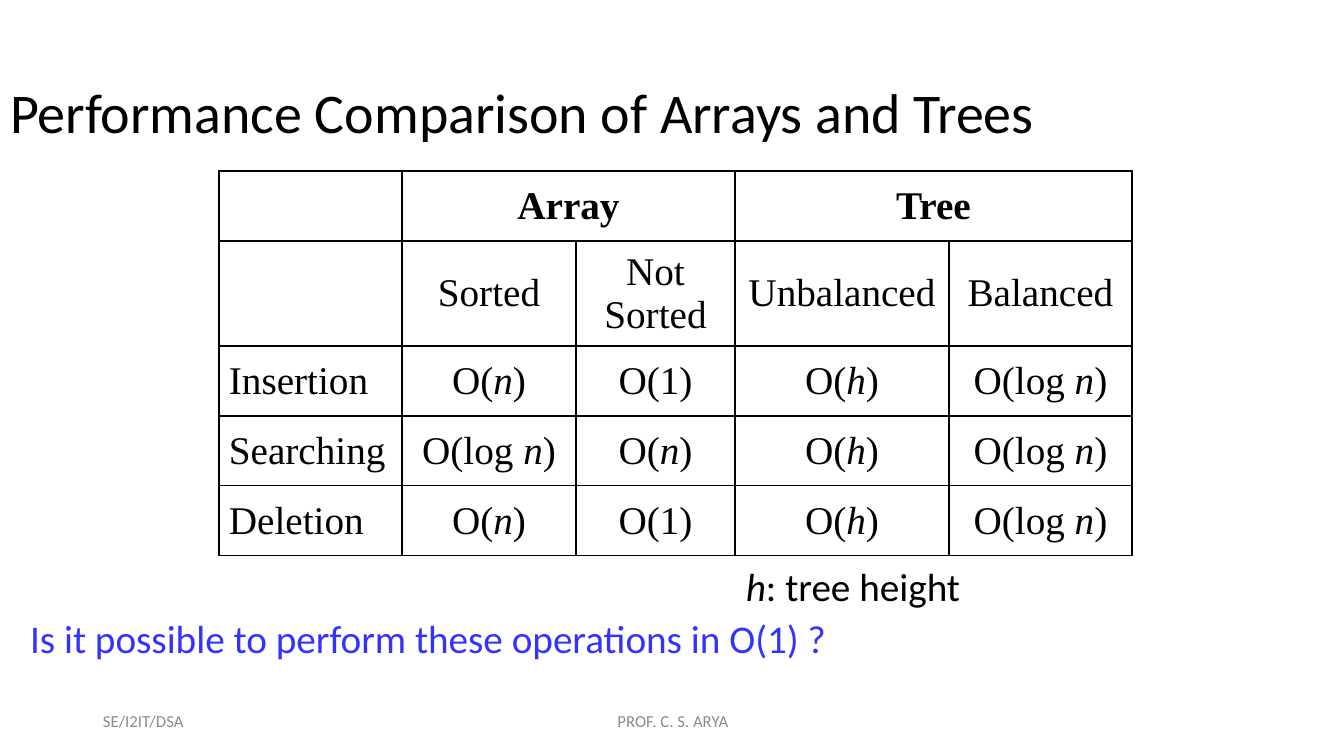
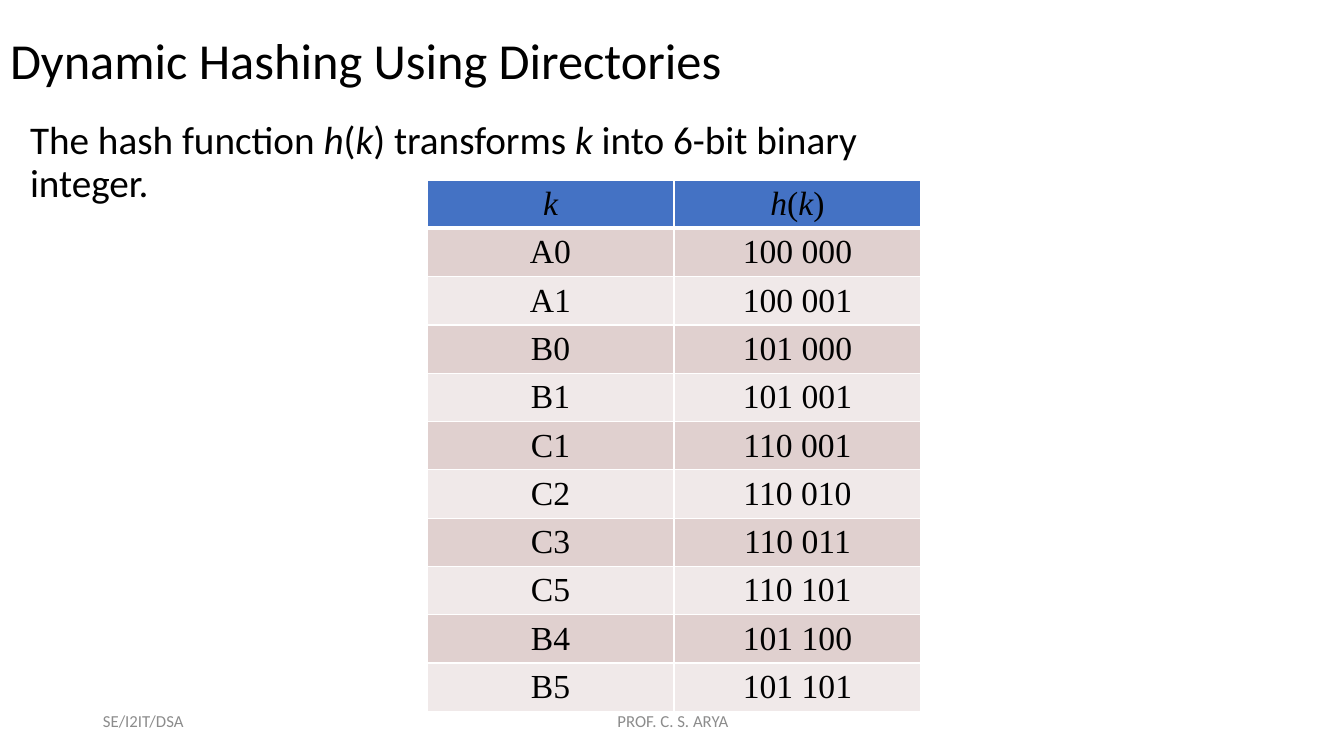
"""Build two slides: array and tree performance, and dynamic hashing."""
import dataclasses

import lxml.etree
import pptx
import pptx.dml.color
import pptx.enum.text
import pptx.oxml.ns
import pptx.util

PX = 9071
ALIGN = pptx.enum.text.PP_ALIGN
ANCHOR = pptx.enum.text.MSO_ANCHOR
qn = pptx.oxml.ns.qn


@dataclasses.dataclass(frozen=True)
class Theme:
    sans: str = "Calibri"
    serif: str = "Times New Roman"
    ink: str = "000000"
    paper: str = "FFFFFF"
    question: str = "3333FF"
    footer: str = "8C8C8C"
    header: str = "4472C4"
    bands: tuple = ("E0D0CF", "F0E9E9")
    footer_size: int = 12
    hash_size: int = 24
    body_size: int = 28


THEME = Theme()


def write(frame, text, size, colour=THEME.ink, font=THEME.sans,
          align=ALIGN.LEFT, bold=False):
    """Fill the first paragraph; text between asterisks is italic."""
    paragraph = frame.paragraphs[0]
    paragraph.alignment = align
    paragraph.font.name = font
    paragraph.font.size = pptx.util.Pt(size)
    paragraph.font.bold = bold
    paragraph.font.color.rgb = pptx.dml.color.RGBColor.from_string(colour)
    for index, part in enumerate(text.split("*")):
        if part:
            run = paragraph.add_run()
            run.text = part
            if index % 2:
                run.font.italic = True
    return paragraph


def add_grid(slide, left, top, widths, heights, rows, fills, size, border,
             header_rule=1, pad=5, labels=False, bold_header=False):
    """Add a table with plain fills and ruled borders."""
    grid = slide.shapes.add_table(
        len(rows), len(widths), left * PX, top * PX,
        sum(widths) * PX, sum(heights) * PX).table
    grid.first_row = grid.horz_banding = False
    for column, width in zip(grid.columns, widths):
        column.width = width * PX
    for r, (values, height, fill) in enumerate(zip(rows, heights, fills)):
        grid.rows[r].height = height * PX
        for c, value in enumerate(values):
            cell = grid.cell(r, c)
            cell.vertical_anchor = ANCHOR.MIDDLE
            cell.margin_left = cell.margin_right = 10 * PX
            cell.margin_top = cell.margin_bottom = pad * PX
            cell.fill.solid()
            cell.fill.fore_color.rgb = pptx.dml.color.RGBColor.from_string(fill)
            if value:
                write(cell.text_frame, value, size, font=THEME.serif,
                      align=ALIGN.LEFT if labels and c == 0 else ALIGN.CENTER,
                      bold=bold_header and r == 0)
            rules = {"lnL": 1, "lnR": 1,
                     "lnT": header_rule if r == 1 else 1,
                     "lnB": header_rule if r == 0 else 1}
            for position, (side, points) in enumerate(rules.items()):
                line = lxml.etree.Element(
                    qn(f"a:{side}"), w=str(pptx.util.Pt(points)))
                paint = lxml.etree.SubElement(line, qn("a:solidFill"))
                lxml.etree.SubElement(paint, qn("a:srgbClr"), val=border)
                cell._tc.get_or_add_tcPr().insert(position, line)
    return grid


deck = pptx.Presentation()
deck.slide_width = 1344 * PX
deck.slide_height = 756 * PX

PAGES = [
    ("Performance Comparison of Arrays and Trees", 40, (0, 36, 1246, 119),
     "Is it possible to perform these operations in O(1) ?",
     THEME.question, (0, 615, 907, 93)),
    ("Dynamic Hashing Using Directories", 36, (0, 30, 907, 70),
     "The hash function *h*(*k*) transforms *k* into 6-bit binary integer.",
     THEME.ink, (0, 116, 907, 111)),
]
FOOTERS = [
    ("SE/I2IT/DSA", (93, 701, 302, 40), ALIGN.LEFT),
    ("PROF. C. S. ARYA", (446, 701, 454, 40), ALIGN.CENTER),
]

for heading, heading_size, heading_box, statement, colour, statement_box in PAGES:
    slide = deck.slides.add_slide(deck.slide_layouts[1])
    title, body = slide.placeholders
    for holder, box, margins, anchor in (
            (title, heading_box, (10, 5, 10, 10), ANCHOR.BOTTOM),
            (body, statement_box, (0, 5, 0, 5), ANCHOR.TOP)):
        holder.left, holder.top, holder.width, holder.height = (
            n * PX for n in box)
        frame = holder.text_frame
        (frame.margin_left, frame.margin_top,
         frame.margin_right, frame.margin_bottom) = (n * PX for n in margins)
        frame.vertical_anchor = anchor
        frame.auto_size = pptx.enum.text.MSO_AUTO_SIZE.NONE
        frame.word_wrap = True

    write(title.text_frame, heading, heading_size).line_spacing = 0.85
    indent = body.text_frame.paragraphs[0]._p.get_or_add_pPr()
    indent.set("marL", str(30 * PX))
    indent.set("indent", str(-30 * PX))
    lxml.etree.SubElement(indent, qn("a:buChar"), char=" ")
    line = write(body.text_frame, statement, THEME.body_size, colour)
    line.line_spacing = 0.9
    line.space_before = pptx.util.Pt(0)

    for text, box, align in FOOTERS:
        footer = slide.shapes.add_textbox(*(n * PX for n in box)).text_frame
        footer.word_wrap = True
        footer.vertical_anchor = ANCHOR.MIDDLE
        write(footer, text, THEME.footer_size, THEME.footer, align=align)

comparison, hashing = deck.slides

operations = [
    ("", "Array", "", "Tree", ""),
    ("", "Sorted", "Not Sorted", "Unbalanced", "Balanced"),
    ("Insertion", "O(*n*)", "O(1)", "O(*h*)", "O(log *n*)"),
    ("Searching", "O(log *n*)", "O(*n*)", "O(*h*)", "O(log *n*)"),
    ("Deletion", "O(*n*)", "O(1)", "O(*h*)", "O(log *n*)"),
]
costs = add_grid(
    comparison, 219, 171, (183, 174, 159, 214, 183), (70, 105, 70, 70, 70),
    operations, [THEME.paper] * len(operations), THEME.body_size, THEME.ink,
    labels=True, bold_header=True)
for first in (1, 3):
    costs.cell(0, first).merge(costs.cell(0, first + 1))

height_note = comparison.shapes.add_textbox(
    736 * PX, 557 * PX, 254 * PX, 57 * PX).text_frame
height_note.word_wrap = True
write(height_note, "*h*: tree height", THEME.body_size)

keys = [
    ("*k*", "*h*(*k*)"),
    ("A0", "100 000"),
    ("A1", "100 001"),
    ("B0", "101 000"),
    ("B1", "101 001"),
    ("C1", "110 001"),
    ("C2", "110 010"),
    ("C3", "110 011"),
    ("C5", "110 101"),
    ("B4", "101 100"),
    ("B5", "101 101"),
]
add_grid(
    hashing, 427, 180, (247, 247), [47] * len(keys), keys,
    [THEME.header] + [THEME.bands[n % 2] for n in range(len(keys) - 1)],
    THEME.hash_size, THEME.paper, header_rule=3, pad=4)

deck.save("out.pptx")
